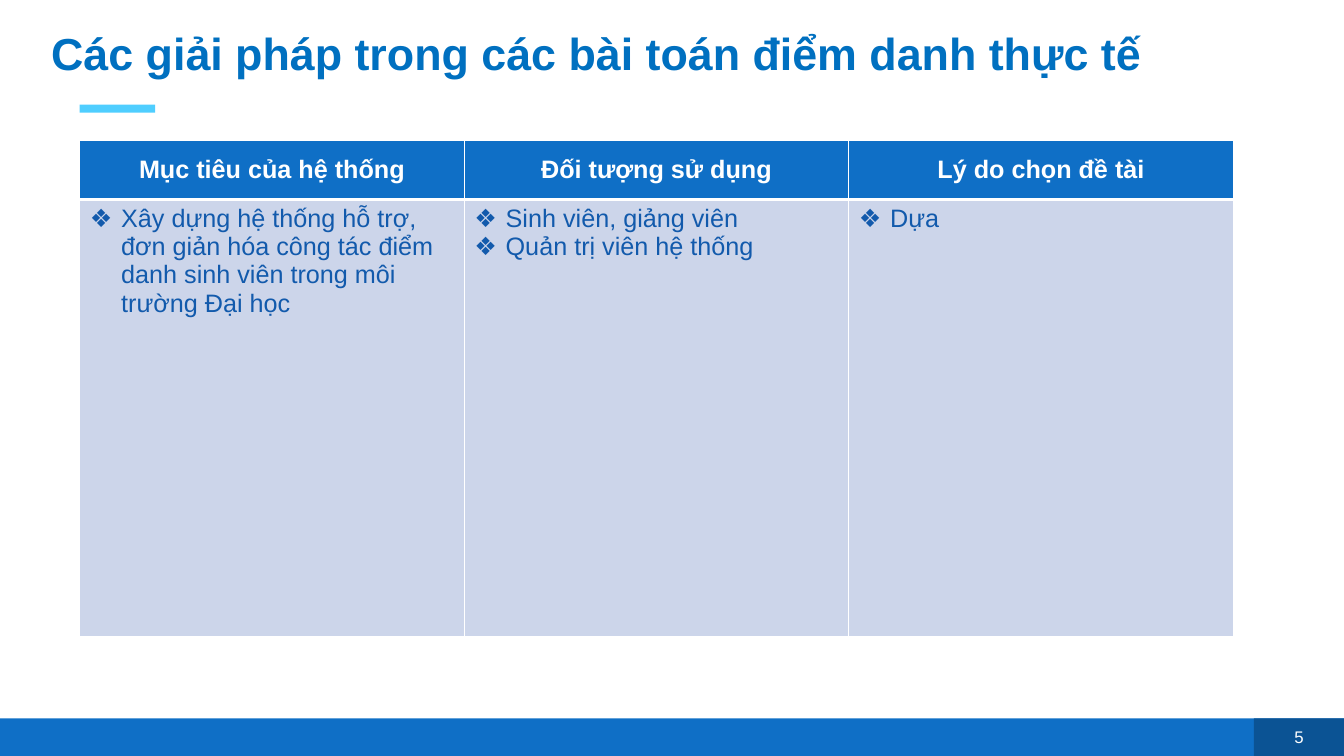
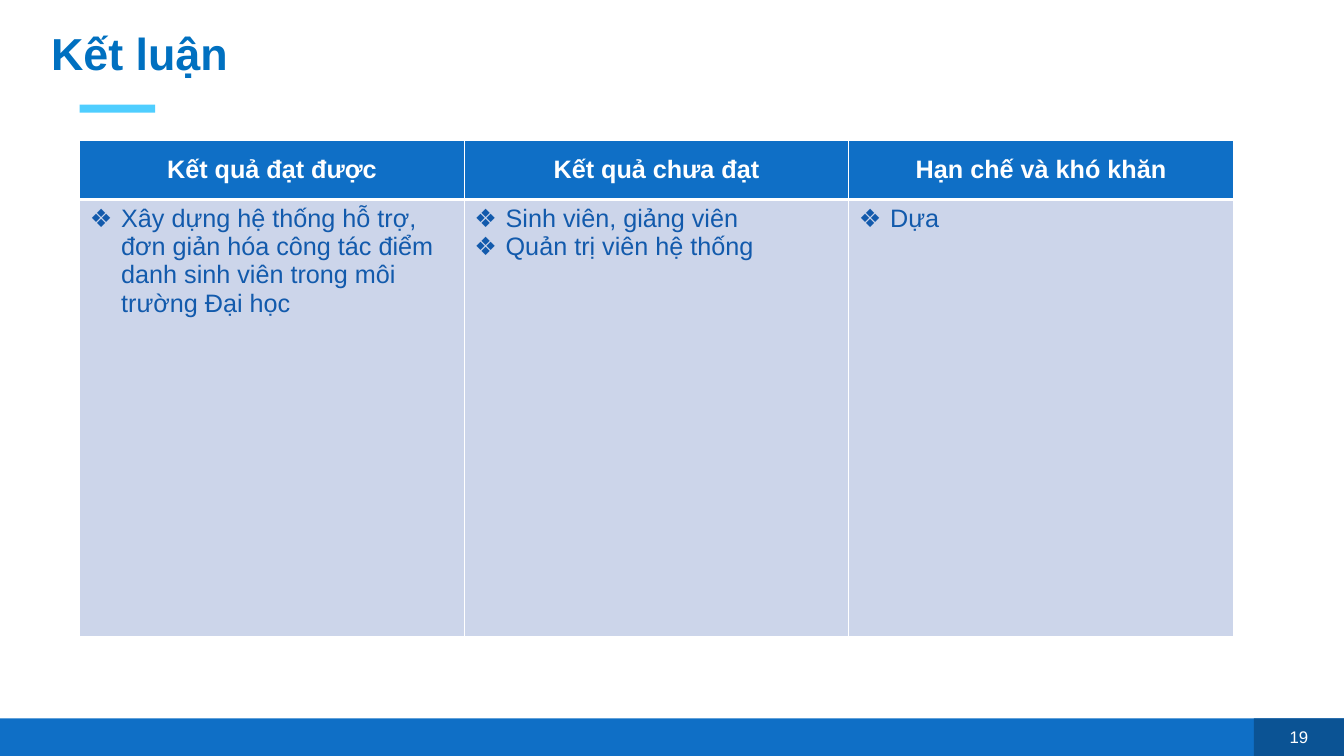
import pptx
import pptx.util
import pptx.dml.color
import pptx.enum.shapes
import pptx.enum.text
import pptx.oxml
import pptx.oxml.ns
from lxml import etree

Cm, Pt = pptx.util.Cm, pptx.util.Pt
ALIGN = pptx.enum.text.PP_ALIGN
MID = pptx.enum.text.MSO_ANCHOR.MIDDLE
RECT = pptx.enum.shapes.MSO_SHAPE.RECTANGLE
qn = pptx.oxml.ns.qn

FONT = "Arial"
WHITE, BLUE, DARK, SKY = "FFFFFF", "0F6FC6", "0B5394", "4FCEFF"
TITLE, BODY, PALE = "0070C0", "125AAC", "CCD5EA"

WIDE, HIGH = 33.87, 19.05
BAR = 18.1
EDGE = 31.6
LEFT = 2.01
COL = 9.69
ROWS = [1.5, 11.02]
HANG = Cm(0.79)

BANDS = [
    (0, BAR, WIDE, HIGH - BAR, BLUE),
    (LEFT, 2.64, 1.9, 0.2, SKY),
    (EDGE, BAR, WIDE - EDGE, HIGH - BAR, DARK),
]

POINTS = [
    ["Xây dựng hệ thống hỗ trợ, đơn giản hóa công tác điểm danh sinh viên "
     "trong môi trường Đại học"],
    ["Sinh viên, giảng viên", "Quản trị viên hệ thống"],
    ["Dựa"],
]

PAGES = [
    ("5", "Các giải pháp trong các bài toán điểm danh thực tế",
     ["Mục tiêu của hệ thống", "Đối tượng sử dụng", "Lý do chọn đề tài"]),
    ("19", "Kết luận",
     ["Kết quả đạt được", "Kết quả chưa đạt", "Hạn chế và khó khăn"]),
]


def paint(part, color):
    """Set a solid colour on a fill."""
    part.solid()
    part.fore_color.rgb = pptx.dml.color.RGBColor.from_string(color)


def write(para, text, size, color, bold=False, align=ALIGN.LEFT):
    para.alignment = align
    run = para.add_run()
    run.text = text
    run.font.name = FONT
    run.font.size = Pt(size)
    run.font.bold = bold
    paint(run.font.fill, color)


deck = pptx.Presentation()
deck.slide_width, deck.slide_height = Cm(WIDE), Cm(HIGH)

for number, title, heads in PAGES:
    slide = deck.slides.add_slide(deck.slide_layouts[6])

    for x, y, w, h, color in BANDS:
        band = slide.shapes.add_shape(RECT, Cm(x), Cm(y), Cm(w), Cm(h))
        band.shadow.inherit = False
        paint(band.fill, color)
        band.line.fill.background()

    # The last band is the dark corner that holds the page number
    frame = band.text_frame
    frame.vertical_anchor = MID
    write(frame.paragraphs[0], number, 12, WHITE, align=ALIGN.CENTER)

    box = slide.shapes.add_textbox(Cm(1.04), Cm(0.66), Cm(32), Cm(1.3))
    frame = box.text_frame
    frame.word_wrap = True
    frame.margin_top = frame.margin_bottom = 0
    write(frame.paragraphs[0], title, 32, TITLE, bold=True)

    table = slide.shapes.add_table(
        len(ROWS), len(heads), Cm(LEFT), Cm(3.53),
        Cm(COL * len(heads)), Cm(sum(ROWS))).table
    table.horz_banding = False
    for row, high in zip(table.rows, ROWS):
        row.height = Cm(high)

    for i, (head, points) in enumerate(zip(heads, POINTS)):
        table.columns[i].width = Cm(COL)
        top, low = table.cell(0, i), table.cell(1, i)

        top.vertical_anchor = MID
        write(top.text_frame.paragraphs[0], head, 18, WHITE, True, ALIGN.CENTER)

        frame = low.text_frame
        for j, point in enumerate(points):
            para = frame.add_paragraph() if j else frame.paragraphs[0]
            write(para, point, 18, BODY)
            props = para._p.get_or_add_pPr()
            props.set("marL", str(HANG))
            props.set("indent", str(-HANG))
            etree.SubElement(props, qn("a:buFont"), typeface=FONT)
            etree.SubElement(props, qn("a:buChar"), char="❖")

        # The heavy rule is the side that the two rows share
        for cell, fill, heavy in [(top, BLUE, "lnB"), (low, PALE, "lnT")]:
            paint(cell.fill, fill)
            props = cell._tc.get_or_add_tcPr()
            for k, side in enumerate(["lnL", "lnR", "lnT", "lnB"]):
                width = Pt(3 if side == heavy else 1)
                line = etree.Element(qn("a:" + side), w=str(width))
                solid = etree.SubElement(line, qn("a:solidFill"))
                etree.SubElement(solid, qn("a:srgbClr"), val=WHITE)
                props.insert(k, line)

deck.save("out.pptx")
